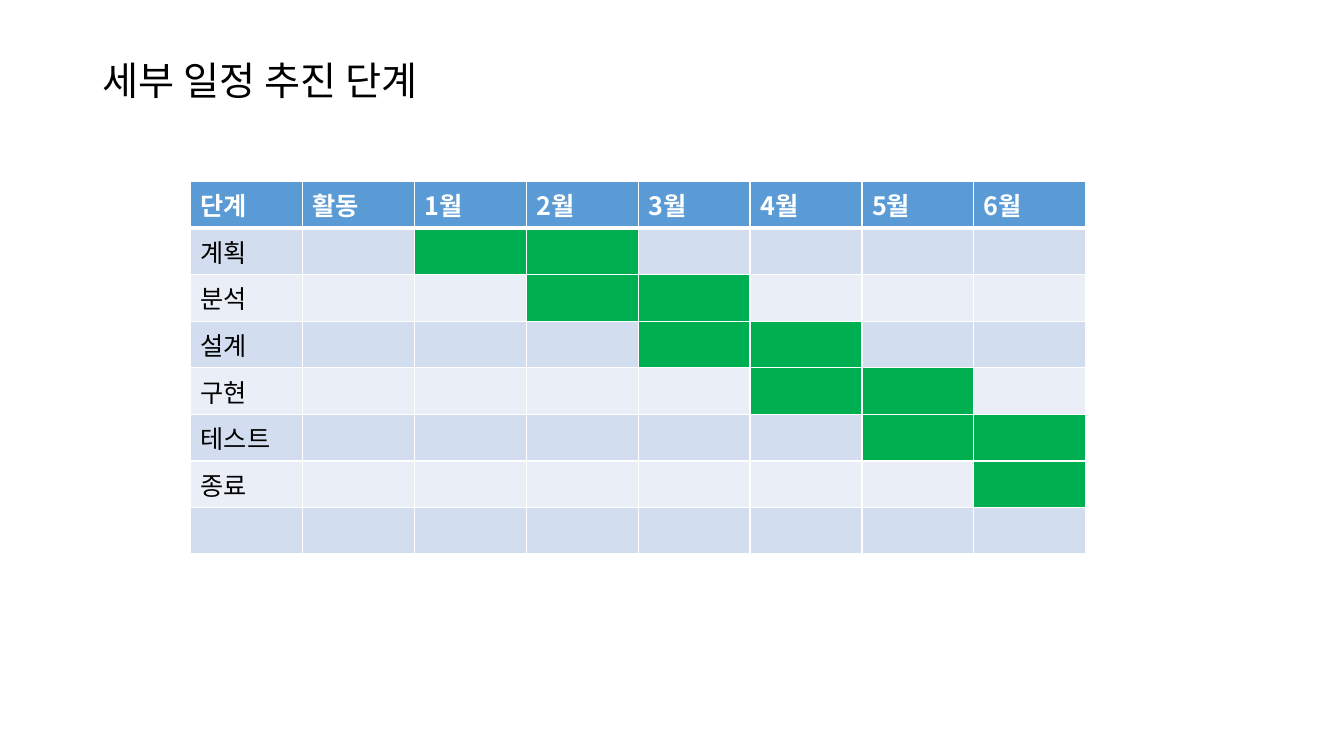
"""Build a one-slide project schedule with a monthly stage table."""
from dataclasses import dataclass

from lxml import etree
from pptx import Presentation
from pptx import util as u
from pptx.dml.color import RGBColor
from pptx.enum import text
from pptx.oxml.ns import qn


@dataclass(frozen=True)
class Theme:
    """Colours, font and type sizes of the slide."""
    font: str = "Noto Sans CJK KR"
    title_size: int = 28
    cell_size: int = 18
    ink: str = "000000"
    white: str = "FFFFFF"
    header: str = "5B9BD5"
    bands: tuple = ("D2DEEF", "EAEFF7")
    bar: str = "00B050"
    thin: int = 1
    thick: int = 3


def px(n):
    """Turn px into EMU."""
    return u.Emu(n * 9144)


class Deck:
    """Hold the theme and the current slide."""

    def __init__(self, prs, theme):
        """Add a title-only slide."""
        self.theme = theme
        self.s = prs.slides.add_slide(prs.slide_layouts[5])

    def run(self, p, words, size, color, bold=False):
        """Add one styled run to a paragraph."""
        r = p.add_run()
        r.text = words
        r.font.name = self.theme.font
        r.font.size = u.Pt(size)
        r.font.bold = bold
        r.font.color.rgb = RGBColor.from_string(color)
        ea = etree.SubElement(r.font._element, qn("a:ea"))
        ea.set("typeface", self.theme.font)

    def title(self, words, x, y, w, h):
        """Place and fill the title placeholder."""
        sp = self.s.shapes.title
        sp.left, sp.top, sp.width, sp.height = map(px, (x, y, w, h))
        tf = sp.text_frame
        tf.word_wrap = True
        tf.auto_size = text.MSO_AUTO_SIZE.NONE
        tf.vertical_anchor = text.MSO_ANCHOR.TOP
        p = tf.paragraphs[0]
        p.alignment = text.PP_ALIGN.LEFT
        p.line_spacing = 0.9
        self.run(p, words, self.theme.title_size, self.theme.ink)

    def border(self, cell, side, width):
        """Draw one white cell border."""
        ln = etree.SubElement(cell._tc.get_or_add_tcPr(), qn(f"a:ln{side}"))
        ln.set("w", str(u.Pt(width)))
        fill = etree.SubElement(ln, qn("a:solidFill"))
        etree.SubElement(fill, qn("a:srgbClr")).set("val", self.theme.white)

    def cell(self, cell, words, fill, row):
        """Style one table cell and write its text."""
        t = self.theme
        heavy = {0: "B", 1: "T"}.get(row)
        for side in "LRTB":
            self.border(cell, side, t.thick if side == heavy else t.thin)
        cell.fill.solid()
        cell.fill.fore_color.rgb = RGBColor.from_string(fill)
        if words:
            color = t.ink if row else t.white
            self.run(cell.text_frame.paragraphs[0], words, t.cell_size, color, row == 0)

    def schedule(self, heads, stages, x, y, col_w, row_h):
        """Add the table, with a bar over the active months of each stage."""
        t = self.theme
        n_rows, n_cols = len(stages) + 1, len(heads)
        frame = self.s.shapes.add_table(
            n_rows, n_cols, px(x), px(y), px(col_w * n_cols), px(row_h * n_rows))
        table = frame.table
        for col in table.columns:
            col.width = px(col_w)
        for row in table.rows:
            row.height = px(row_h)
        for j, head in enumerate(heads):
            self.cell(table.cell(0, j), head, t.header, 0)
        lead = n_cols - 6
        for i, (name, months) in enumerate(stages, 1):
            for j in range(n_cols):
                active = j - lead + 1 in months
                fill = t.bar if active else t.bands[(i - 1) % 2]
                self.cell(table.cell(i, j), "" if j else name, fill, i)


def main():
    """Build and save the slide."""
    prs = Presentation()
    prs.slide_width, prs.slide_height = px(1333), px(750)
    deck = Deck(prs, Theme())
    deck.title("세부 일정 추진 단계", 92, 56, 1150, 60)
    heads = ["단계", "활동"] + [f"{m}월" for m in range(1, 7)]
    stages = [("계획", (1, 2)), ("분석", (2, 3)), ("설계", (3, 4)), ("구현", (4, 5)),
              ("테스트", (5, 6)), ("종료", (6,)), ("", ())]
    deck.schedule(heads, stages, x=189, y=180, col_w=111, row_h=46)
    prs.save("out.pptx")


if __name__ == "__main__":
    main()
